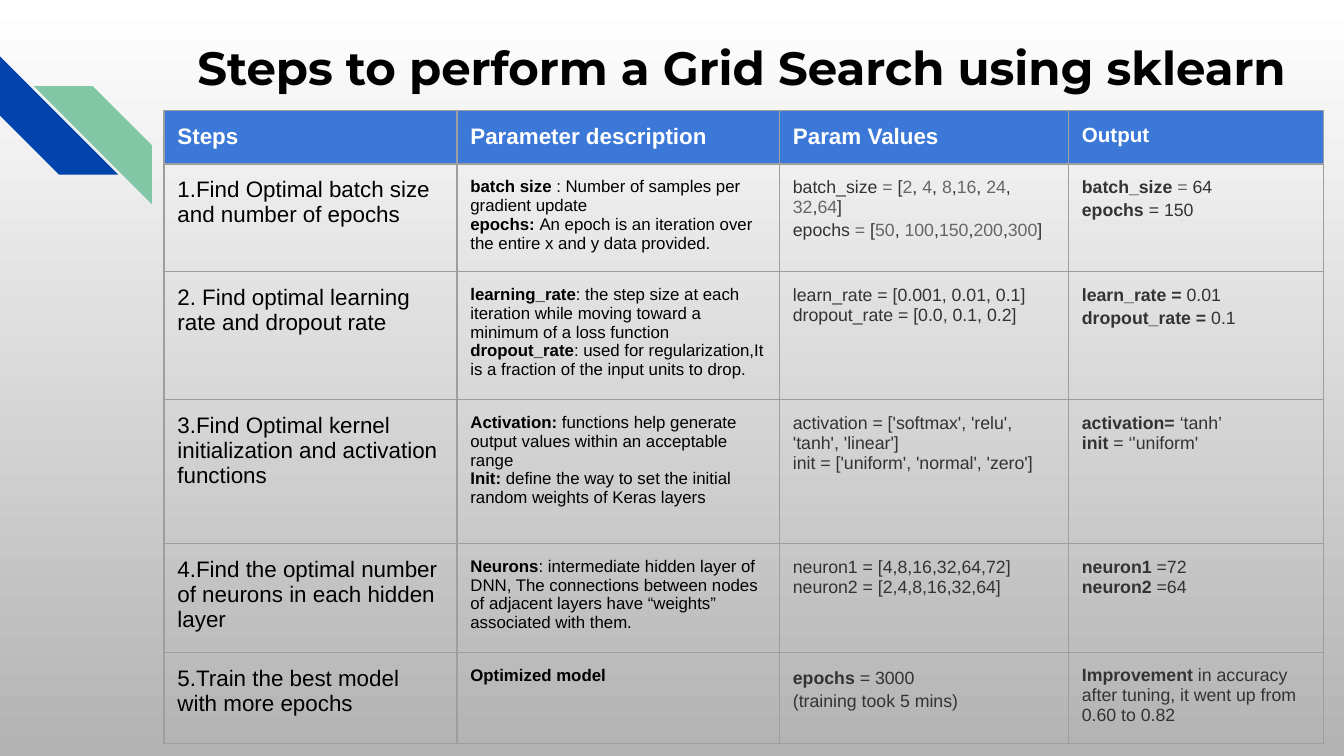
"""Build a slide that tabulates the steps of a grid search."""
from lxml import etree
from pptx import Presentation, util as u
from pptx.dml.color import RGBColor
from pptx.enum import shapes
from pptx.oxml.ns import qn

WIDTH = 10
HEIGHT = WIDTH * 9 / 16
COLOURS = {
    "black": "000000", "white": "FFFFFF", "dark": "333333", "grey": "666666",
    "header": "3C78D8", "border": "9E9E9E", "blue": "0145AC", "green": "82C7A5",
    "shade": "B3B3B3",
}
TITLE = "Steps to perform a Grid Search using sklearn"
BOLD_MARK, GREY_MARK = "|", "~"
LOOSE = 1.15

HEADERS = [("Steps", 12), ("Parameter description", 12), ("Param Values", 12), ("Output", 11)]
BODY_STYLES = [(12, "black"), (9, "black"), (9.5, "dark"), (9.5, "dark")]
STEPS = [
    [
        ["1.Find Optimal batch size and number of epochs"],
        ["|batch size| : Number of samples per gradient update",
         "|epochs: |An epoch is an iteration over the entire x and y data provided."],
        ["batch_size ~=~ [~2~, ~4~, ~8~,~16~, ~24~, ~32~,~64~]",
         ("epochs ~=~ [~50~, ~100~,~150~,~200~,~300~]", LOOSE)],
        ["|batch_size |~=~ 64", ("|epochs |= 150", LOOSE)],
    ],
    [
        ["2. Find optimal learning rate and dropout rate"],
        ["|learning_rate|: the step size at each iteration while moving toward a minimum of a loss function",
         "|dropout_rate|: used for regularization,It is a fraction of the input units to drop."],
        ["learn_rate = [0.001, 0.01, 0.1]", "dropout_rate = [0.0, 0.1, 0.2]"],
        ["|learn_rate = |0.01", ("|dropout_rate = |0.1", LOOSE)],
    ],
    [
        ["3.Find Optimal kernel initialization and activation functions"],
        ["|Activation: |functions help generate output values within an acceptable range",
         "|Init: |define the way to set the initial random weights of Keras layers"],
        ["activation = ['softmax', 'relu', 'tanh', 'linear']", "init = ['uniform', 'normal', 'zero']"],
        ["|activation= |‘tanh’", "|init |= ‘'uniform'"],
    ],
    [
        ["4.Find the optimal number of neurons in each hidden layer"],
        ["|Neurons|: intermediate hidden layer of DNN, The connections between nodes "
         "of adjacent layers have “weights” associated with them."],
        ["neuron1 = [4,8,16,32,64,72]", "neuron2 = [2,4,8,16,32,64]"],
        ["|neuron1 |=72", "|neuron2 |=64"],
    ],
    [
        ["5.Train the best model with more epochs"],
        ["|Optimized model|"],
        [("|epochs |= 3000", LOOSE), ("(training took 5 mins)", LOOSE)],
        ["|Improvement |in accuracy after tuning, it went up from 0.60 to 0.82"],
    ],
]
COLUMN_WIDTHS = [2.18, 2.4, 2.15, 1.9]
ROW_HEIGHTS = [0.35, 0.75, 0.61, 1.07, 0.81, 0.58]
TABLE_AREA = (1.22, 0.82, 8.64, 4.82)
STRIPES = [(0, 0.42, 270, "blue"), (0.25, 0.64, 90, "green")]
STRIPE_SIZE = 0.88


def colour(name):
    return RGBColor.from_string(COLOURS[name])


def add_span(para, words, size, shade, bold, font="Arial"):
    span = para.add_run()
    span.text = words
    span.font.name, span.font.size, span.font.bold = font, u.Pt(size), bold
    span.font.color.rgb = colour(shade)


def set_margins(frame):
    frame.margin_left = frame.margin_right = u.Inches(0.1)
    frame.margin_top = frame.margin_bottom = u.Inches(0.1)


def write_cell(cell, lines, size, shade):
    for index, line in enumerate(lines):
        words, spacing = line if isinstance(line, tuple) else (line, None)
        frame = cell.text_frame
        para = frame.add_paragraph() if index else frame.paragraphs[0]
        para.line_spacing = spacing
        for turn, chunk in enumerate(words.split(BOLD_MARK)):
            for tone, part in enumerate(chunk.split(GREY_MARK)):
                if part:
                    add_span(para, part, size, "grey" if tone % 2 else shade, turn % 2 == 1)


def add_borders(cell):
    properties = cell._tc.get_or_add_tcPr()
    for side in ("lnL", "lnR", "lnT", "lnB"):
        line = etree.SubElement(properties, qn(f"a:{side}"), w=str(u.Pt(0.75)))
        fill = etree.SubElement(line, qn("a:solidFill"))
        etree.SubElement(fill, qn("a:srgbClr"), val=COLOURS["border"])


def add_background(page):
    fill = page.background.fill
    fill.gradient()
    fill.gradient_angle = 270
    for stop, name in zip(fill.gradient_stops, ("white", "shade")):
        stop.color.rgb = colour(name)


def add_stripes(page):
    for left, top, turn, name in STRIPES:
        stripe = page.shapes.add_shape(
            shapes.MSO_SHAPE.DIAGONAL_STRIPE,
            *map(u.Inches, (left, top, STRIPE_SIZE, STRIPE_SIZE)))
        stripe.rotation = turn
        stripe.shadow.inherit = False
        stripe.fill.solid()
        stripe.fill.fore_color.rgb = colour(name)
        stripe.line.fill.background()


def add_title(page):
    box = page.shapes.add_textbox(*map(u.Inches, (1.37, 0.19, 8.55, 1.07)))
    box.text_frame.word_wrap = True
    set_margins(box.text_frame)
    add_span(box.text_frame.paragraphs[0], TITLE, 25, "black", True, "Montserrat")


def add_steps_table(page):
    holder = page.shapes.add_table(
        len(ROW_HEIGHTS), len(COLUMN_WIDTHS), *map(u.Inches, TABLE_AREA))
    table = holder.table
    table.first_row = table.horz_banding = False
    for column, width in zip(table.columns, COLUMN_WIDTHS):
        column.width = u.Inches(width)
    for row, height in zip(table.rows, ROW_HEIGHTS):
        row.height = u.Inches(height)
    holder.width, holder.height = map(u.Inches, TABLE_AREA[2:])
    for cell in table.iter_cells():
        set_margins(cell)
        add_borders(cell)
        cell.fill.background()
    for index, (label, size) in enumerate(HEADERS):
        cell = table.cell(0, index)
        cell.fill.solid()
        cell.fill.fore_color.rgb = colour("header")
        write_cell(cell, [f"{BOLD_MARK}{label}"], size, "white")
    for number, step in enumerate(STEPS, 1):
        for index, (lines, style) in enumerate(zip(step, BODY_STYLES)):
            write_cell(table.cell(number, index), lines, *style)


def main():
    deck = Presentation()
    deck.slide_width, deck.slide_height = u.Inches(WIDTH), u.Inches(HEIGHT)
    page = deck.slides.add_slide(deck.slide_layouts[6])
    add_background(page)
    add_stripes(page)
    add_title(page)
    add_steps_table(page)
    deck.save("out.pptx")


if __name__ == "__main__":
    main()
